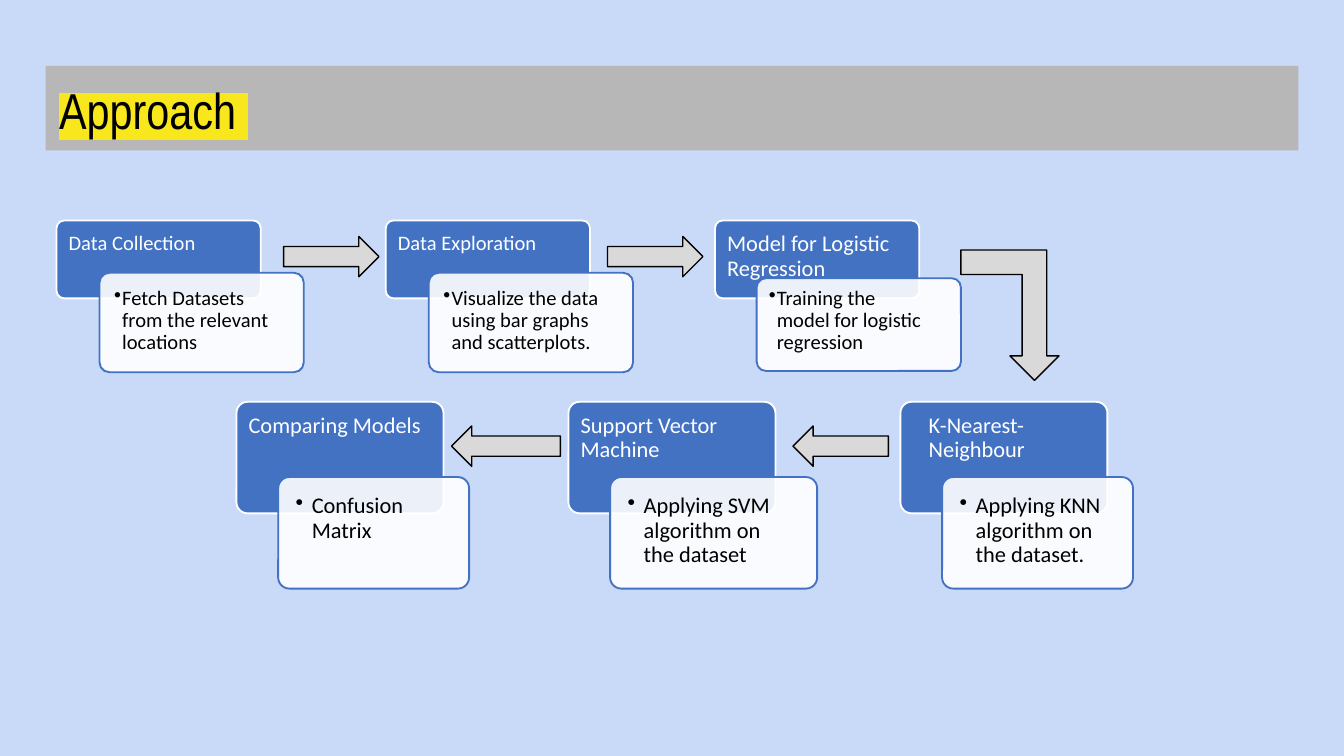
from dataclasses import dataclass

from lxml import etree
from pptx import Presentation
from pptx.dml.color import RGBColor
from pptx.enum.shapes import MSO_SHAPE as Shape
from pptx.enum.text import MSO_ANCHOR as Anchor, MSO_AUTO_SIZE as AutoSize, PP_ALIGN as Align
from pptx.oxml.ns import qn
from pptx.util import Inches, Pt

SKY = RGBColor(0xC9, 0xDA, 0xF8)
BANNER = RGBColor(0xB7, 0xB7, 0xB7)
YELLOW = RGBColor(0xF8, 0xE7, 0x1C)
BLUE = RGBColor(0x43, 0x72, 0xC3)
GREY = RGBColor(0xD9, 0xD9, 0xD9)
WHITE = RGBColor(0xFF, 0xFF, 0xFF)
BLACK = RGBColor(0, 0, 0)


@dataclass
class Step:
    heading: list
    detail: str
    heading_size: int = 12
    heading_height: float = 0.55
    heading_shift: float = 0
    card: tuple = (0.31, 0.56, 1.42, 0.83)    # relative to the step's corner
    note: tuple = (0.35, 0.6, 1.3, 0.72)


@dataclass
class Row:
    left: float
    top: float
    pitch: float
    tab_size: tuple
    detail_size: int
    margin: float
    indent: float
    steps: list


WIDE_CARD = (0.32, 0.39, 1.52, 0.74)
WIDE_NOTE = (0.34, 0.41, 1.47, 0.69)

ROWS = [
    Row(0.42, 1.64, 2.45, (1.52, 0.58), 11, 0.06, -0.08, [
        Step(["Data Collection"], "Fetch Datasets from the relevant locations",
             11, 0.39, card=WIDE_CARD, note=WIDE_NOTE),
        Step(["Data Exploration"], "Visualize the data using bar graphs and scatterplots.",
             11, 0.39, card=WIDE_CARD, note=WIDE_NOTE),
        Step(["Model for Logistic Regression"], "Training the model for logistic regression",
             12, 0.5, card=(0.31, 0.43, 1.52, 0.69), note=(0.31, 0.41, 1.39, 0.58)),
    ]),
    Row(1.76, 2.99, 2.47, (1.54, 0.83), 12, 0.12, -0.12, [
        Step(["Comparing Models"], "Confusion Matrix"),
        Step(["Support Vector Machine"], "Applying SVM algorithm on the dataset",
             card=(0.31, 0.56, 1.54, 0.83)),
        Step(["K-Nearest-", "Neighbour"], "Applying KNN algorithm on the dataset.",
             heading_shift=0.12),
    ]),
]

ARROWS = [
    (Shape.RIGHT_ARROW, (2.11, 1.76, 0.71, 0.3)),
    (Shape.RIGHT_ARROW, (4.52, 1.76, 0.71, 0.3)),
    (Shape.LEFT_ARROW, (5.9, 3.17, 0.71, 0.3)),
    (Shape.LEFT_ARROW, (3.36, 3.17, 0.81, 0.3)),
]


def inches(box):
    return [Inches(length) for length in box]


def add_outlined(shapes, kind, box, fill, line, width):
    shape = shapes.add_shape(kind, *inches(box))
    shape.shadow.inherit = False
    shape.fill.solid()
    shape.fill.fore_color.rgb = fill
    shape.line.color.rgb = line
    shape.line.width = Pt(width)
    return shape


def add_rounded(shapes, box, fill, line):
    shape = add_outlined(shapes, Shape.ROUNDED_RECTANGLE, box, fill, line, 1)
    shape.adjustments[0] = 0.1
    return shape


def set_margins(frame, side, bottom):
    frame.margin_left = frame.margin_top = frame.margin_right = Inches(side)
    frame.margin_bottom = Inches(bottom)


def add_span(para, text, size, color, font="Calibri"):
    span = para.add_run()
    span.text = text
    span.font.size = Pt(size)
    span.font.color.rgb = color
    span.font.name = font
    return span


def add_text(shapes, box, lines, size, color, bottom):
    frame = shapes.add_textbox(*inches(box)).text_frame
    frame.word_wrap = True
    set_margins(frame, 0.09, bottom)
    for number, line in enumerate(lines):
        para = frame.add_paragraph() if number else frame.paragraphs[0]
        para.line_spacing = 0.9
        add_span(para, line, size, color)
    return frame


def add_bullet(para, margin, indent):
    para.level = 1
    props = para._p.get_or_add_pPr()
    props.set("marL", str(Inches(margin)))
    props.set("indent", str(Inches(indent)))
    color = etree.SubElement(props, qn("a:buClr"))
    etree.SubElement(color, qn("a:srgbClr"), val=str(BLACK))
    etree.SubElement(props, qn("a:buChar"), char="•")


def add_title(page, box):
    title = page.shapes.title
    title.left, title.top, title.width, title.height = inches(box)
    title.fill.solid()
    title.fill.fore_color.rgb = BANNER
    frame = title.text_frame
    frame.auto_size = AutoSize.NONE
    frame.vertical_anchor = Anchor.BOTTOM
    set_margins(frame, 0.1, 0.08)
    para = frame.paragraphs[0]
    para.alignment = Align.LEFT
    span = add_span(para, "Approach ", 27, BLACK, "Arial Narrow")
    highlight = etree.Element(qn("a:highlight"))
    etree.SubElement(highlight, qn("a:srgbClr"), val=str(YELLOW))
    span._r.rPr.find(qn("a:solidFill")).addnext(highlight)


def add_step(shapes, row, step, left):
    """Blue heading tab with a translucent detail card overlapping it."""
    def place(box):
        return left + box[0], row.top + box[1], box[2], box[3]

    width, height = row.tab_size
    shift = step.heading_shift
    add_rounded(shapes, place((0, 0, width, height)), BLUE, WHITE)
    add_text(shapes, place((shift, 0, width - shift, step.heading_height)),
             step.heading, step.heading_size, WHITE, 0.05)
    card = add_rounded(shapes, place(step.card), WHITE, BLUE)
    color = card._element.spPr.find(qn("a:solidFill")).find(qn("a:srgbClr"))
    etree.SubElement(color, qn("a:alpha"), val="90000")
    detail = add_text(shapes, place(step.note), [step.detail], row.detail_size, BLACK, 0.09)
    add_bullet(detail.paragraphs[0], row.margin, row.indent)


def add_row(page, row):
    group = page.shapes.add_group_shape()
    for number, step in enumerate(row.steps):
        add_step(group.shapes, row, step, row.left + number * row.pitch)


def add_arrows(page):
    for kind, box in ARROWS:
        add_outlined(page.shapes, kind, box, GREY, BLACK, 0.75)
    turn = add_outlined(page.shapes, Shape.BENT_UP_ARROW, (7.15, 1.86, 0.73, 0.97),
                        GREY, BLACK, 0.75)
    turn.rotation = 180
    turn._element.spPr.find(qn("a:xfrm")).set("flipH", "1")


def main():
    deck = Presentation()
    deck.slide_width = Inches(10)
    deck.slide_height = deck.slide_width * 9 // 16
    page = deck.slides.add_slide(deck.slide_layouts[5])
    page.background.fill.solid()
    page.background.fill.fore_color.rgb = SKY
    add_title(page, (0.34, 0.49, 9.32, 0.63))
    for row in ROWS:
        add_row(page, row)
    add_arrows(page)
    deck.save("out.pptx")


if __name__ == "__main__":
    main()
